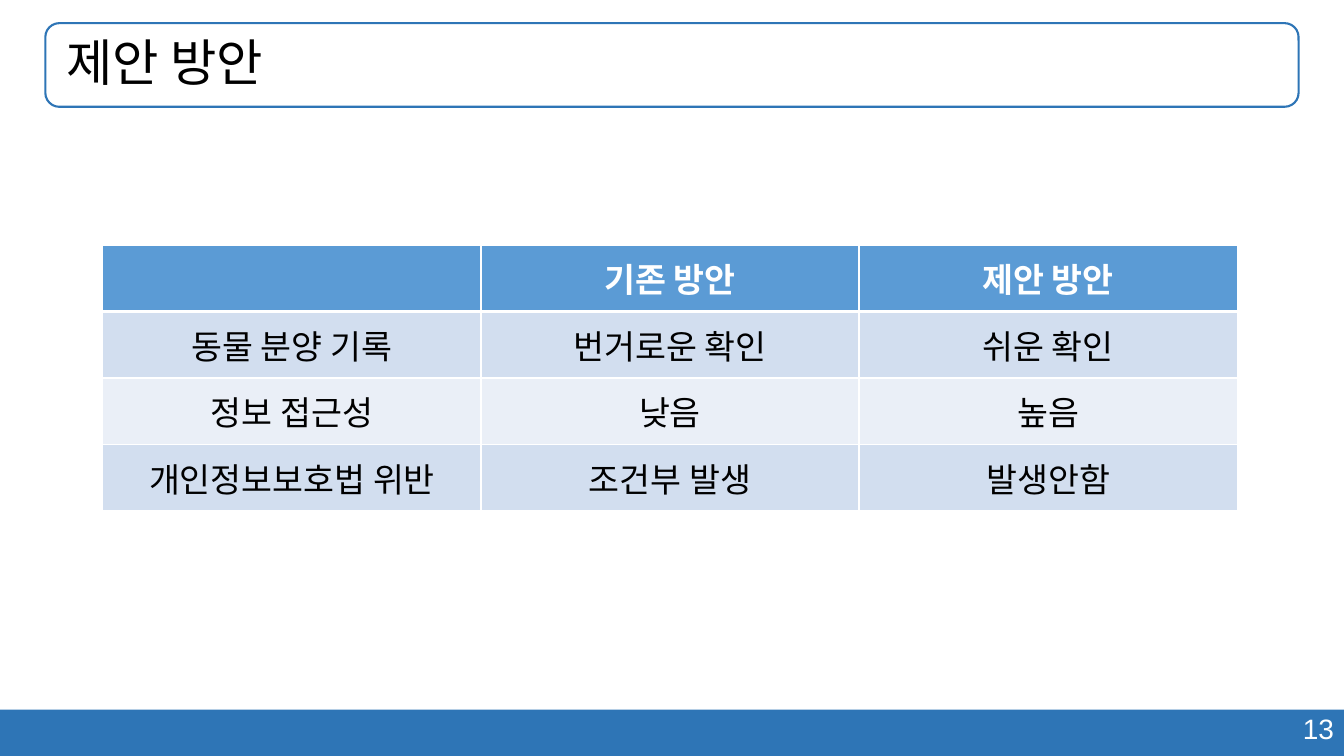
from lxml.etree import SubElement
from pptx import Presentation
from pptx.dml.color import RGBColor
from pptx.enum.shapes import MSO_SHAPE as Shape
from pptx.enum.text import MSO_ANCHOR as Anchor, PP_ALIGN as Align
from pptx.oxml.ns import qn
from pptx.util import Inches, Pt

BLUE = RGBColor(0x2E, 0x75, 0xB6)
HEADER = RGBColor(0x5B, 0x9B, 0xD5)
BAND_DARK = RGBColor(0xD2, 0xDE, 0xEF)
BAND_LIGHT = RGBColor(0xEA, 0xEF, 0xF7)
WHITE = RGBColor(0xFF, 0xFF, 0xFF)
BLACK = RGBColor(0, 0, 0)
KOREAN = "Noto Sans CJK KR"

ROWS = [
    ("", "기존 방안", "제안 방안"),
    ("동물 분양 기록", "번거로운 확인", "쉬운 확인"),
    ("정보 접근성", "낮음", "높음"),
    ("개인정보보호법 위반", "조건부 발생", "발생안함"),
]
TITLE_BOX = [Inches(n) for n in (0.45, 0.23, 12.43, 0.83)]


def set_font(p, name, size, color, bold=False):
    """Format a paragraph, using the font for East Asian text as well."""
    p.font.name = name
    p.font.size = Pt(size)
    p.font.bold = bold
    p.font.color.rgb = color
    props = p._p.get_or_add_pPr().find(qn("a:defRPr"))
    SubElement(props, qn("a:ea"), typeface=name)


def add_panel(s, kind, box, fill=None, line=None):
    sp = s.shapes.add_shape(kind, *box)
    sp.shadow.inherit = False
    if fill is None:
        sp.fill.background()
    else:
        sp.fill.solid()
        sp.fill.fore_color.rgb = fill
    if line is None:
        sp.line.fill.background()
    else:
        sp.line.color.rgb = line
        sp.line.width = Pt(1.5)


def add_title(s, text):
    title = s.shapes.title
    title.left, title.top, title.width, title.height = TITLE_BOX
    tf = title.text_frame
    tf.text = text
    tf.vertical_anchor = Anchor.MIDDLE
    tf.margin_left = Inches(0.21)
    p = tf.paragraphs[0]
    p.alignment = Align.LEFT
    p.line_spacing = 0.9
    set_font(p, KOREAN, 36, BLACK)


def add_page_number(s, number):
    box = s.shapes.add_textbox(Inches(9.43), Inches(7.01), Inches(3.9), Inches(0.44))
    tf = box.text_frame
    tf.word_wrap = True
    tf.text = number
    p = tf.paragraphs[0]
    p.alignment = Align.RIGHT
    set_font(p, "Arial", 20, WHITE)


def set_borders(cell, bottom):
    """Draw white cell borders, 1 pt except for the bottom one."""
    props = cell._tc.get_or_add_tcPr()
    for side, width in (("L", 1), ("R", 1), ("T", 1), ("B", bottom)):
        ln = SubElement(props, qn(f"a:ln{side}"), w=str(Pt(width)))
        fill = SubElement(ln, qn("a:solidFill"))
        SubElement(fill, qn("a:srgbClr"), val=str(WHITE))


def format_cell(cell, text, fill, color, header):
    set_borders(cell, 3 if header else 1)
    cell.fill.solid()
    cell.fill.fore_color.rgb = fill
    cell.vertical_anchor = Anchor.MIDDLE
    cell.text = text
    p = cell.text_frame.paragraphs[0]
    p.alignment = Align.CENTER
    set_font(p, KOREAN, 24, color, header)


def add_comparison(s):
    frame = s.shapes.add_table(len(ROWS), len(ROWS[0]), Inches(1.02), Inches(2.43),
                               Inches(11.25), Inches(2.64))
    for r, row in enumerate(ROWS):
        header = r == 0
        band = BAND_DARK if r % 2 else BAND_LIGHT
        for c, text in enumerate(row):
            format_cell(frame.table.cell(r, c), text, HEADER if header else band,
                        WHITE if header else BLACK, header)


def main():
    prs = Presentation()
    prs.slide_width, prs.slide_height = Inches(13.33), Inches(7.5)
    s = prs.slides.add_slide(prs.slide_layouts[5])
    footer = [Inches(n) for n in (0, 7.04, 13.33, 0.46)]
    add_panel(s, Shape.RECTANGLE, footer, fill=BLUE)
    add_page_number(s, "13")
    add_panel(s, Shape.ROUNDED_RECTANGLE, TITLE_BOX, line=BLUE)
    add_title(s, "제안 방안")
    add_comparison(s)
    prs.save("out.pptx")


if __name__ == "__main__":
    main()
